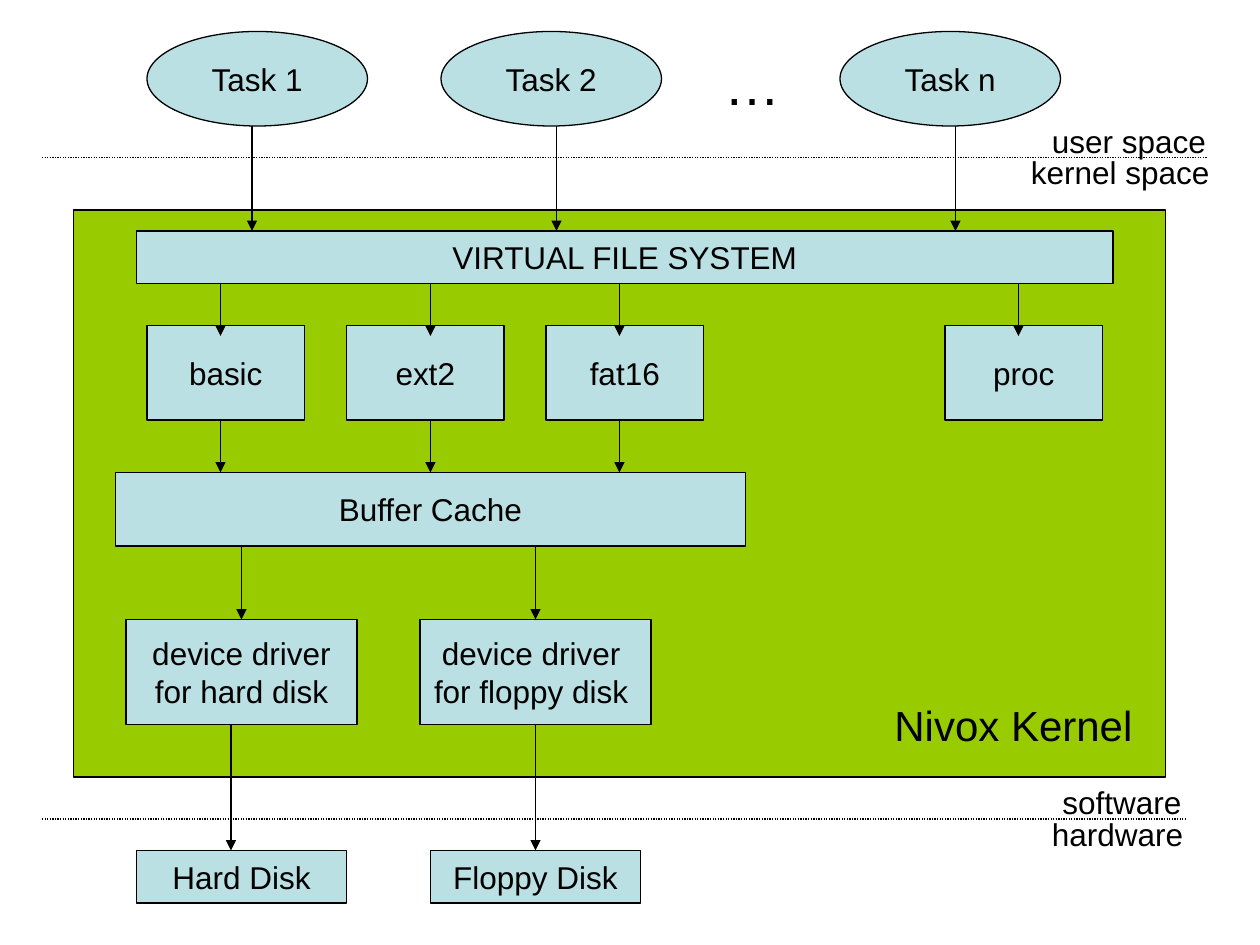
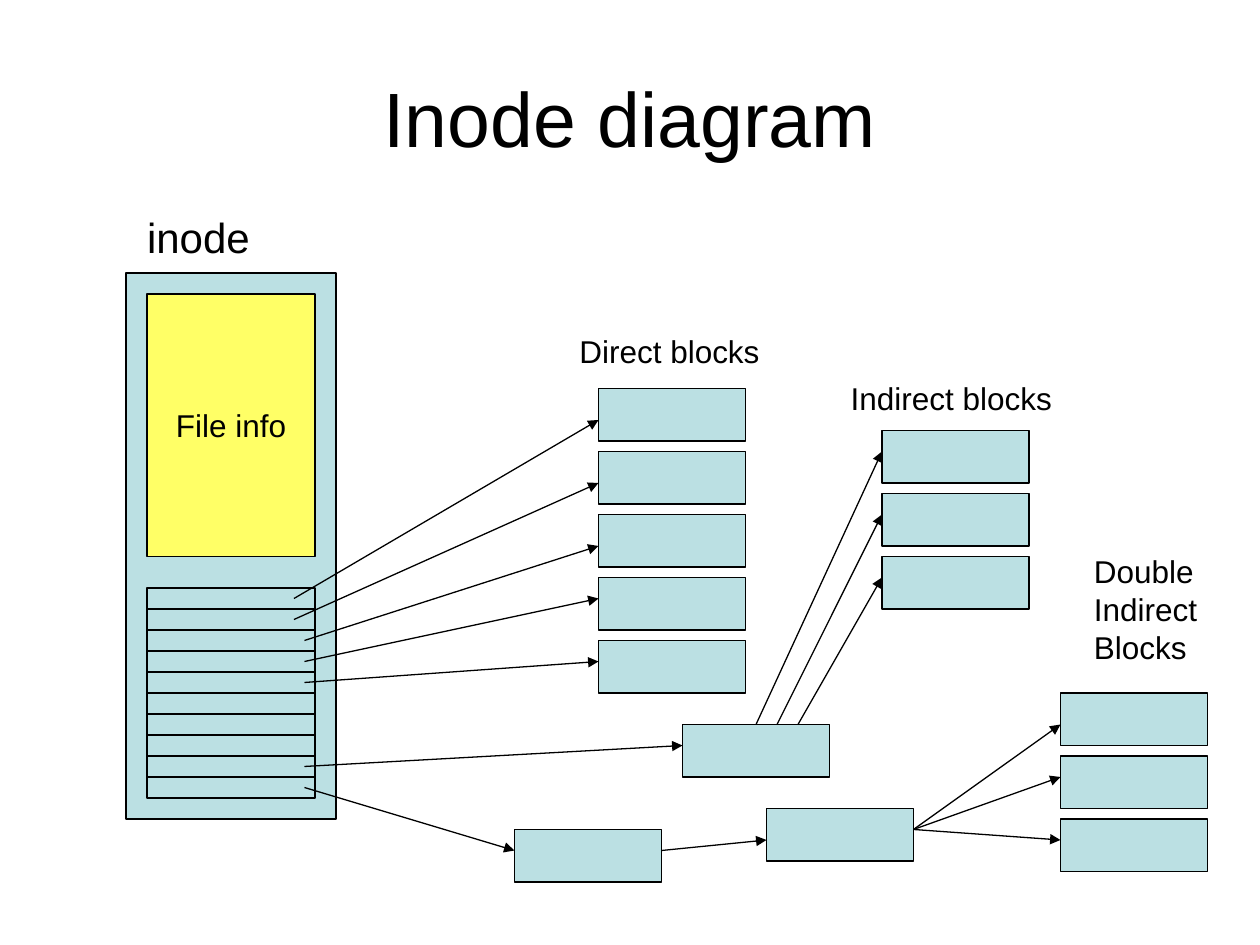
from pptx import Presentation
from pptx.dml.color import RGBColor
from pptx.enum.dml import MSO_LINE
from pptx.enum.shapes import MSO_CONNECTOR, MSO_SHAPE
from pptx.enum.text import MSO_ANCHOR, MSO_AUTO_SIZE, PP_ALIGN
from pptx.oxml.ns import qn
from pptx.util import Pt
from lxml.etree import SubElement

# Shared style
FONT = "Arial"
BLACK, BLUE, GREEN, YELLOW = "000000", "BBE0E3", "99CC00", "FFFF66"
TOP, LEFT, BOTTOM, RIGHT = range(4)

# Slide 1 content: file system layers (lengths in points)
TASKS = [("Task 1", 84, 144), ("Task 2", 252, 318), ("Task n", 480, 546)]  # text, left, arrow
FILE_SYSTEMS = [("basic", 84, 126), ("ext2", 198, 246), ("fat16", 312, 354), ("proc", 540, 582)]
UNCACHED = "proc"
DEVICES = [  # driver text, driver left, disk text, disk left
    ("device driver\nfor hard disk", 72, "Hard Disk", 78),
    ("device driver \nfor floppy disk ", 240, "Floppy Disk", 246),
]
HARD_DISK_ARROW = 132
BOUNDARIES = [(90, 690), (468, 678)]  # height, right end
KERNEL_LABELS = [  # text, left, top, width, height, size
    ("…", 407, 25, 50, 46, 32),
    ("user space", 594, 66, 108, 29, 18),
    ("kernel space", 582, 84, 122, 29, 18),
    ("software", 600, 444, 88, 29, 18),
    ("hardware", 594, 462, 94, 29, 18),
    ("Nivox Kernel", 504, 396, 156, 36, 24),
]

# Slide 2 content: inode and its blocks
INODE_TITLE = "Inode diagram"
INODE_LABELS = [
    ("inode", 77, 117.5, 78, 36, 24),
    ("Direct blocks", 324, 186, 122, 29, 18),
    ("Indirect blocks", 479, 213, 134, 29, 18),
    ("Double\nIndirect\nBlocks", 618, 312, 82, 72, 18),
]
SLOT_COUNT, SLOT_TOP, SLOT_HEIGHT = 10, 336, 12
BLOCK_WIDTH, BLOCK_HEIGHT, BLOCK_STEP = 84, 30, 36
BLOCK_STACKS = [(342, 222, 5), (504, 246, 3), (606, 396, 3)]  # left, top, count
POINTER_BLOCKS = [(390, 414), (438, 462), (294, 474)]
SLOT_ARROWS = [  # slot number, start x, end point
    (0, 168, (342, 240)), (1, 168, (342, 276)), (2, 174, (342, 312)),
    (3, 174, (342, 342)), (4, 174, (342, 378)),
    (8, 174, (390, 426)), (9, 174, (294, 486)),
]
BLOCK_ARROWS = [
    ((444, 414), (504, 294)), ((456, 414), (504, 330)),
    ((522, 474), (606, 414)), ((522, 474), (606, 444)), ((522, 474), (606, 480)),
    ((378, 486), (438, 480)),
]


def color(value):
    return RGBColor.from_string(value)


def write(frame, text, size, align):
    frame.text = text
    for para in frame.paragraphs:
        para.alignment = align
        for span in para.runs:
            span.font.name = FONT
            span.font.size = Pt(size)
            span.font.color.rgb = color(BLACK)


def add_box(page, left, top, width, height, text="", fill=BLUE, kind=MSO_SHAPE.RECTANGLE):
    box = page.shapes.add_shape(kind, Pt(left), Pt(top), Pt(width), Pt(height))
    box.shadow.inherit = False
    box.fill.solid()
    box.fill.fore_color.rgb = color(fill)
    box.line.color.rgb = color(BLACK)
    box.line.width = Pt(0.75)
    if text:
        frame = box.text_frame
        frame.word_wrap = False
        frame.vertical_anchor = MSO_ANCHOR.MIDDLE
        write(frame, text, 18, PP_ALIGN.CENTER)
    return box


def add_labels(page, labels):
    for text, left, top, width, height, size in labels:
        box = page.shapes.add_textbox(Pt(left), Pt(top), Pt(width), Pt(height))
        frame = box.text_frame
        frame.word_wrap = True
        frame.auto_size = MSO_AUTO_SIZE.NONE
        write(frame, text, size, PP_ALIGN.LEFT)


def add_line(page, start, end):
    line = page.shapes.add_connector(
        MSO_CONNECTOR.STRAIGHT, Pt(start[0]), Pt(start[1]), Pt(end[0]), Pt(end[1]))
    line.line.color.rgb = color(BLACK)
    line.line.width = Pt(0.75)
    SubElement(line.element.spPr, qn("a:effectLst"))
    return line


def add_arrow(page, start, end, source=None, target=None):
    """source and target are optional (box, side) joins."""
    arrow = add_line(page, start, end)
    SubElement(arrow.element.spPr.find(qn("a:ln")), qn("a:tailEnd"), type="triangle")
    if source:
        arrow.begin_connect(*source)
    if target:
        arrow.end_connect(*target)


def build_kernel_page(deck):
    page = deck.slides.add_slide(deck.slide_layouts[6])

    # Kernel area and space boundaries
    add_box(page, 42, 120, 624, 324, fill=GREEN)
    for y, right in BOUNDARIES:
        add_line(page, (24, y), (right, y)).line.dash_style = MSO_LINE.ROUND_DOT

    # Tasks call the virtual file system
    add_box(page, 78, 132, 558, 30, "VIRTUAL FILE SYSTEM")
    for text, left, x in TASKS:
        add_box(page, left, 18, 126, 54, text, kind=MSO_SHAPE.OVAL)
        add_arrow(page, (x, 72), (x, 132))

    # File systems use the buffer cache
    add_box(page, 66, 270, 360, 42, "Buffer Cache")
    for text, left, x in FILE_SYSTEMS:
        add_box(page, left, 186, 90, 54, text)
        add_arrow(page, (x, 162), (x, 192))
        if text != UNCACHED:
            add_arrow(page, (x, 240), (x, 270))

    # Drivers reach the disks
    for driver_text, driver_left, disk_text, disk_left in DEVICES:
        driver = add_box(page, driver_left, 354, 132, 60, driver_text)
        disk = add_box(page, disk_left, 486, 120, 30, disk_text)
        middle = driver_left + 66
        add_arrow(page, (middle, 312), (middle, 354), target=(driver, TOP))
        if disk_text == "Hard Disk":
            add_arrow(page, (HARD_DISK_ARROW, 414), (HARD_DISK_ARROW, 486))
        else:
            add_arrow(page, (middle, 414), (middle, 486), (driver, BOTTOM), (disk, TOP))

    add_labels(page, KERNEL_LABELS)


def build_inode_page(deck):
    page = deck.slides.add_slide(deck.slide_layouts[5])

    # Title
    title = page.shapes.title
    title.left, title.top, title.width, title.height = Pt(36), Pt(21.6), Pt(648), Pt(90)
    title.text_frame.vertical_anchor = MSO_ANCHOR.MIDDLE
    write(title.text_frame, INODE_TITLE, 44, PP_ALIGN.CENTER)

    # Inode with its file info and slots
    add_box(page, 72, 156, 120, 312)
    add_box(page, 84, 168, 96, 150, "File info", YELLOW)
    for slot in range(SLOT_COUNT):
        add_box(page, 84, SLOT_TOP + slot * SLOT_HEIGHT, 96, SLOT_HEIGHT)

    # Data blocks and pointer blocks
    for left, top, count in BLOCK_STACKS:
        for row in range(count):
            add_box(page, left, top + row * BLOCK_STEP, BLOCK_WIDTH, BLOCK_HEIGHT)
    pointers = [add_box(page, left, top, BLOCK_WIDTH, BLOCK_HEIGHT)
                for left, top in POINTER_BLOCKS]
    add_labels(page, INODE_LABELS)

    # Arrows
    for slot, x, end in SLOT_ARROWS:
        add_arrow(page, (x, SLOT_TOP + (slot + 0.5) * SLOT_HEIGHT), end)
    add_arrow(page, (432, 414), (504, 258), source=(pointers[0], TOP))
    for start, end in BLOCK_ARROWS:
        add_arrow(page, start, end)


def main():
    deck = Presentation()
    deck.slide_width, deck.slide_height = Pt(720), Pt(540)
    build_kernel_page(deck)
    build_inode_page(deck)
    deck.save("out.pptx")


if __name__ == "__main__":
    main()
